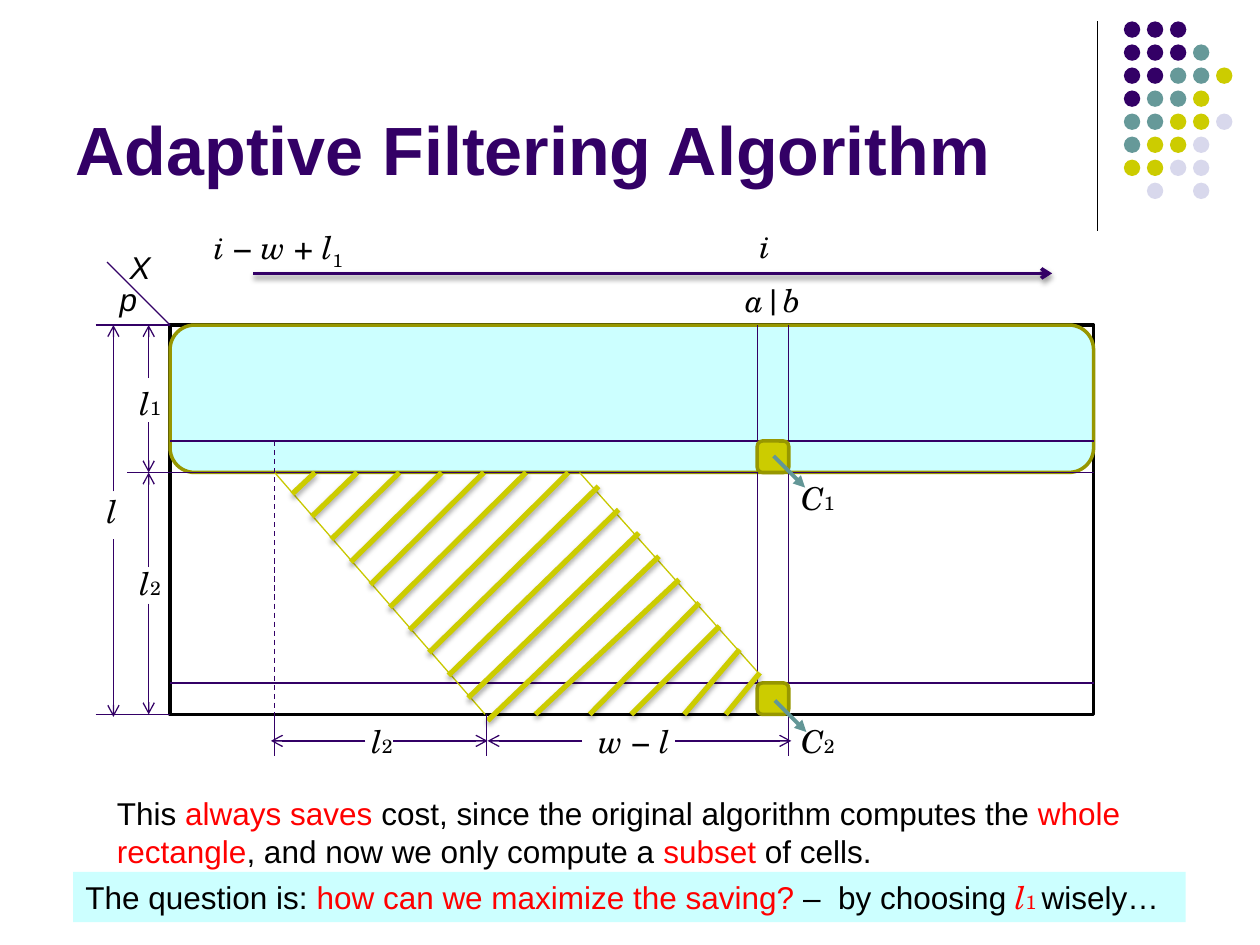
import dataclasses

import lxml.etree
import pptx
import pptx.dml.color
import pptx.enum.dml
import pptx.enum.shapes
import pptx.enum.text
import pptx.oxml.ns
import pptx.util

Inches = pptx.util.Inches
Pt = pptx.util.Pt
ShapeType = pptx.enum.shapes.MSO_SHAPE


@dataclasses.dataclass(frozen=True)
class Theme:
    purple: str = "330066"
    teal: str = "669999"
    arrow_teal: str = "639797"
    olive: str = "CCCC00"
    olive_edge: str = "979700"
    olive_thin: str = "C8C800"
    lavender: str = "D8D8EC"
    cyan: str = "CCFFFF"
    white: str = "FFFFFF"
    black: str = "000000"
    red: str = "FF0000"
    sans: str = "Arial"
    math: str = "TeX Gyre Schola"
    title_size: int = 39
    body_size: int = 18
    index_size: int = 11


THEME = Theme()
LEFT, RIGHT, TOP, SPLIT, BOTTOM = 1.35, 8.68, 2.58, 3.75, 5.67
CELL = 0.25
COLUMN = 6.01
DOT_ROWS = ["PPP", "PPPT", "PPTTO", "PTTO", "TTOOL", "TOOL", "OOLL", " L L"]


def rgb(color):
    return pptx.dml.color.RGBColor.from_string(color)


def add_element(parent, tag, **attributes):
    element = lxml.etree.SubElement(parent, pptx.oxml.ns.qn(tag))
    for name, value in attributes.items():
        element.set(name, str(value))
    return element


def add_box(slide, kind, left, top, width, height, fill, edge=None):
    shape = slide.shapes.add_shape(
        kind, Inches(left), Inches(top), Inches(width), Inches(height))
    shape.shadow.inherit = False
    shape.fill.solid()
    shape.fill.fore_color.rgb = rgb(fill)
    if edge:
        shape.line.color.rgb = rgb(edge)
        shape.line.width = Pt(2)
    else:
        shape.line.fill.background()
    return shape


def add_line(slide, start, end, color=THEME.purple, width=0.75,
             tail=None, dashed=False, shadow_alpha=None):
    line = slide.shapes.add_connector(
        pptx.enum.shapes.MSO_CONNECTOR.STRAIGHT,
        *(Inches(value) for value in (*start, *end)))
    line.line.color.rgb = rgb(color)
    line.line.width = Pt(width)
    if dashed:
        line.line.dash_style = pptx.enum.dml.MSO_LINE.DASH
    properties = line._element.spPr
    if tail:
        add_element(line.line._get_or_add_ln(), "a:tailEnd", type=tail)
    effects = add_element(properties, "a:effectLst")
    if shadow_alpha:
        shadow = add_element(effects, "a:outerShdw", blurRad=Pt(3.1), dist=Pt(1.8),
                             dir=90 * 60000, rotWithShape=0)
        color_element = add_element(shadow, "a:srgbClr", val=THEME.black)
        add_element(color_element, "a:alpha", val=shadow_alpha * 1000)


def set_font(font, name=None, size=None, color=None, italic=None, bold=None):
    if name:
        font.name = name
    if size:
        font.size = Pt(size)
    if color:
        font.color.rgb = rgb(color)
    if italic is not None:
        font.italic = italic
    if bold is not None:
        font.bold = bold


def write_runs(shape, runs, **shared):
    frame = shape.text_frame
    frame.word_wrap = True
    paragraph = frame.paragraphs[0]
    paragraph.alignment = pptx.enum.text.PP_ALIGN.LEFT
    set_font(paragraph.font, **shared)
    for text, style in runs:
        run = paragraph.add_run()
        run.text = text
        set_font(run.font, **style)
    return paragraph


def add_text(slide, left, top, width, runs, height=0.4, **shared):
    box = slide.shapes.add_textbox(
        Inches(left), Inches(top), Inches(width), Inches(height))
    return write_runs(box, runs, **shared)


def add_label(slide, left, top, width, text, index="", name=THEME.math):
    shared = dict(name=name, color=THEME.black)
    if not index:
        return add_text(slide, left, top, width, [(text, {})],
                        size=THEME.body_size, italic=True, **shared)
    runs = [(text, dict(size=THEME.body_size, italic=True)),
            (index, dict(size=THEME.index_size, italic=False))]
    return add_text(slide, left, top, width, runs, **shared)


def add_title(slide):
    title = slide.shapes.title
    title.left, title.top = Inches(0.5), Inches(0.13)
    title.width, title.height = Inches(8.25), Inches(1.42)
    title.text_frame.vertical_anchor = pptx.enum.text.MSO_ANCHOR.BOTTOM
    write_runs(title, [("Adaptive Filtering Algorithm", {})], name=THEME.sans,
               size=THEME.title_size, color=THEME.purple, bold=True)


def add_corner_dots(slide):
    add_line(slide, (8.71, 0.17), (8.71, 1.83), THEME.black)
    colors = {"P": THEME.purple, "T": THEME.teal,
              "O": THEME.olive, "L": THEME.lavender}
    pitch = 1.28 / 7
    for row, codes in enumerate(DOT_ROWS):
        for column, code in enumerate(codes):
            if code in colors:
                add_box(slide, ShapeType.OVAL, 8.92 + column * pitch,
                        0.17 + row * pitch, 0.13, 0.13, colors[code])


def add_matrix(slide):
    width = RIGHT - LEFT
    add_box(slide, ShapeType.RECTANGLE, LEFT, TOP, width, BOTTOM - TOP,
            THEME.white, THEME.black)
    add_box(slide, ShapeType.ROUNDED_RECTANGLE, LEFT, TOP, width, SPLIT - TOP,
            THEME.cyan, THEME.olive_edge)
    add_line(slide, (LEFT, TOP), (0.85, 2.08))
    for y in (SPLIT - CELL, SPLIT, BOTTOM - CELL):
        add_line(slide, (LEFT, y), (RIGHT, y))
    for x in (COLUMN, COLUMN + CELL):
        add_line(slide, (x, TOP), (x, BOTTOM))
    for y in (SPLIT, BOTTOM):
        add_box(slide, ShapeType.ROUNDED_RECTANGLE, COLUMN, y - CELL, CELL, CELL,
                THEME.olive, THEME.olive_edge)


def add_hatched_band(slide):
    add_line(slide, (4.6, SPLIT), (COLUMN, 5.33), THEME.olive_thin)
    add_line(slide, (2.18, SPLIT), (3.85, BOTTOM), THEME.olive_thin)
    add_line(slide, (2.18, SPLIT - CELL), (2.18, BOTTOM), dashed=True)
    upper_ends = [(2.5 + 0.335 * step, SPLIT) for step in range(7)]
    upper_ends += [(4.75 + 0.16 * step, 3.86 + 0.185 * step) for step in range(9)]
    lower_ends = [(2.32 + 0.155 * step, 3.92 + 0.18 * step) for step in range(11)]
    lower_ends += [(x, BOTTOM) for x in (4.25, 4.68, 5.01, 5.43, 5.76)]
    for upper, lower in zip(upper_ends, lower_ends):
        add_line(slide, upper, lower, THEME.olive, 3, shadow_alpha=35)


def add_dimensions(slide):
    for x, y in ((0.76, TOP), (1.01, SPLIT), (0.76, BOTTOM)):
        add_line(slide, (x, y), (LEFT, y))
    for x in (2.18, 3.86, COLUMN + CELL):
        add_line(slide, (x, BOTTOM), (x, 6))
    for x, start, end in ((1.18, 3, TOP), (1.18, 3.35, SPLIT), (1.18, 4.5, SPLIT),
                          (1.18, 4.79, BOTTOM), (0.9, 3.9, TOP), (0.9, 4.28, 5.69)):
        add_line(slide, (x, start), (x, end), tail="arrow")
    for start, end in ((2.9, 2.15), (4.62, 3.87), (3.12, 3.87), (5.36, 6.28)):
        add_line(slide, (start, 5.88), (end, 5.88), tail="arrow")
    add_line(slide, (2.01, 2.17), (8.35, 2.17), width=2, tail="arrow", shadow_alpha=38)


def add_labels(slide):
    add_label(slide, 0.85, 2.17, 0.42, "p", name=THEME.sans)
    add_label(slide, 0.93, 1.92, 0.42, "X", name=THEME.sans)
    for left, top, width, text, index in (
            (1.01, 3, 0.42, "l", "1"), (1.01, 4.43, 0.42, "l", "2"),
            (2.85, 5.68, 0.42, "l", "2"), (4.65, 5.68, 0.9, "w − l", ""),
            (0.75, 3.86, 0.33, "l", ""), (5.82, 2.18, 0.75, "a|b", ""),
            (5.93, 1.75, 0.42, "i", ""), (6.26, 3.75, 0.5, "C", "1"),
            (6.26, 5.68, 0.5, "C", "2")):
        add_label(slide, left, top, width, text, index)
    window_start = add_label(slide, 1.6, 1.76, 1.4, "i − w + l", "1")
    subscript = window_start.runs[1].font
    subscript.size = Pt(THEME.body_size)
    subscript._element.set("baseline", "-25000")
    for x, y in ((6.14, 3.62), (6.15, 5.56)):
        add_line(slide, (x, y), (x + CELL, y + CELL), THEME.arrow_teal, 2.25,
                 tail="triangle")


def add_conclusions(slide):
    black, red = dict(color=THEME.black), dict(color=THEME.red)
    add_text(slide, 0.83, 6.25, 8.25, [
        ("This ", black), ("always saves ", red),
        ("cost, since the original algorithm computes the ", black),
        ("whole rectangle", red), (", and now we only compute a ", black),
        ("subset", red), (" of cells.", black),
    ], height=0.71, name=THEME.sans, size=THEME.body_size)
    banner = add_box(slide, ShapeType.RECTANGLE, 0.58, 6.92, 8.83, 0.4, THEME.cyan)
    sans = dict(name=THEME.sans, size=THEME.body_size)
    symbol = dict(name=THEME.math, **red)
    write_runs(banner, [
        ("The question is: ", black | sans),
        ("how can we maximize the saving?", red | sans),
        (" –  by choosing ", black | sans),
        ("l", dict(size=THEME.body_size, italic=True, **symbol)),
        ("1 ", dict(size=THEME.index_size, **symbol)),
        ("wisely…", black | sans),
    ])


def main():
    presentation = pptx.Presentation()
    presentation.slide_width, presentation.slide_height = Inches(10), Inches(7.5)
    slide = presentation.slides.add_slide(presentation.slide_layouts[5])
    add_corner_dots(slide)
    add_title(slide)
    add_matrix(slide)
    add_hatched_band(slide)
    add_dimensions(slide)
    add_labels(slide)
    add_conclusions(slide)
    presentation.save("out.pptx")


if __name__ == "__main__":
    main()
